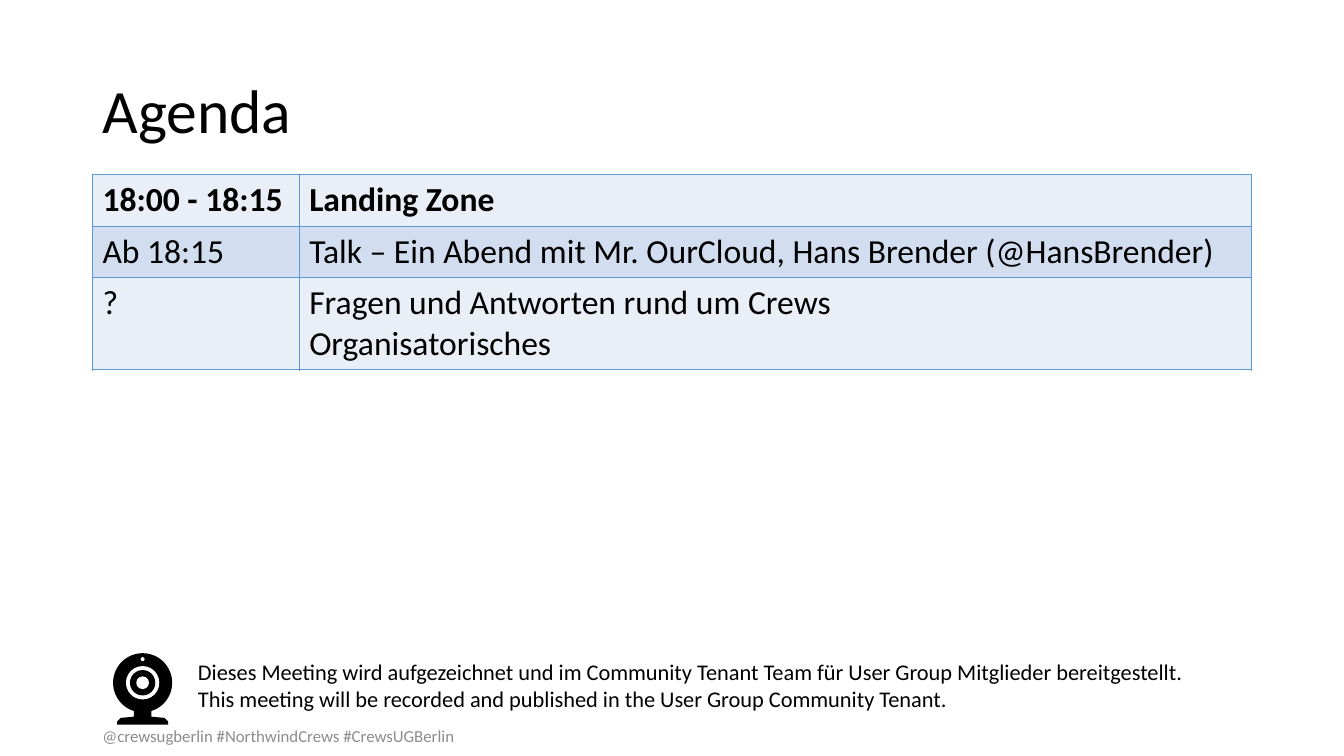
import pptx
import pptx.dml.color
import pptx.enum.shapes
import pptx.enum.text
import pptx.oxml
import pptx.oxml.ns
import pptx.util

Cm = pptx.util.Cm
Pt = pptx.util.Pt
KIND = pptx.enum.shapes.MSO_SHAPE
ANCHOR = pptx.enum.text.MSO_ANCHOR

BLACK, WHITE, GREY = "000000", "FFFFFF", "8C8C8C"
LIGHT, DARK, EDGE = "EAEFF7", "D2DEEF", "5B9BD5"

AGENDA = [
    ("18:00 - 18:15", "Landing Zone"),
    ("Ab 18:15", "Talk – Ein Abend mit Mr. OurCloud, Hans Brender (@HansBrender)"),
    ("?", "Fragen und Antworten rund um Crews\nOrganisatorisches"),
]
NOTICE = (
    "Dieses Meeting wird aufgezeichnet und im Community Tenant Team "
    "für User Group Mitglieder bereitgestellt.\n"
    "This meeting will be recorded and published in the User Group Community Tenant."
)
TAGS = "@crewsugberlin #NorthwindCrews #CrewsUGBerlin"


def color(code):
    return pptx.dml.color.RGBColor.from_string(code)


def write(frame, text, size=24, tint=BLACK, bold=False, space=1.0):
    para = frame.paragraphs[0]
    para.text = text
    para.alignment = pptx.enum.text.PP_ALIGN.LEFT
    para.line_spacing = space
    for run in para.runs:
        font = run.font
        font.name, font.size, font.bold = "Calibri", Pt(size), bold
        font.color.rgb = color(tint)


def paint(shape, tint):
    shape.shadow.inherit = False
    shape.fill.solid()
    shape.fill.fore_color.rgb = color(tint)
    shape.line.fill.background()


def place(shape, box):
    shape.left, shape.top, shape.width, shape.height = (Cm(v) for v in box)


def add_title(slide, box):
    title = slide.shapes.title
    place(title, box)
    frame = title.text_frame
    frame.word_wrap = True
    frame.auto_size = pptx.enum.text.MSO_AUTO_SIZE.NONE
    frame.vertical_anchor = ANCHOR.MIDDLE
    write(frame, "Agenda", size=44, space=0.9)


def add_text(slide, box, text, anchor=ANCHOR.TOP, **form):
    frame = slide.shapes.add_textbox(*(Cm(v) for v in box)).text_frame
    frame.word_wrap = True
    frame.vertical_anchor = anchor
    write(frame, text, **form)


def frame_cell(cell):
    props = cell._tc.get_or_add_tcPr()
    for side in ("lnL", "lnR", "lnT", "lnB"):
        props.append(pptx.oxml.parse_xml(
            f'<a:{side} {pptx.oxml.ns.nsdecls("a")} w="{Pt(1)}"><a:solidFill>'
            f'<a:srgbClr val="{EDGE}"/></a:solidFill></a:{side}>'))


def add_agenda(slide, box):
    left, top, width, height = box
    table = slide.shapes.add_table(
        len(AGENDA), 2, Cm(left), Cm(top), Cm(width), Cm(height)).table
    first = 5.21
    for col, span in zip(table.columns, (first, width - first)):
        col.width = Cm(span)
    line = 1.3
    for row, tall in zip(table.rows, (line, line, height - 2 * line)):
        row.height = Cm(tall)
    for r, texts in enumerate(AGENDA):
        for c, text in enumerate(texts):
            cell = table.cell(r, c)
            frame_cell(cell)
            cell.fill.solid()
            cell.fill.fore_color.rgb = color(DARK if r % 2 else LIGHT)
            write(cell.text_frame, text, bold=r == 0)


def add_webcam(slide, box):
    left, top, width, height = box
    mid, lens = left + width / 2, top + width / 2

    # Foot and neck
    half = [(0.22, 1.3), (0.22, 1.6), (0.55, 1.63), (0.64, 1.72), (0.64, height)]
    outline = [(mid + x, top + y) for x, y in half]
    outline += [(mid - x, top + y) for x, y in reversed(half)]
    points = [(Cm(x), Cm(y)) for x, y in outline]
    build = slide.shapes.build_freeform(*points[0])
    build.add_line_segments(points[1:], close=True)
    paint(build.convert_to_shape(), BLACK)

    # Head, lens rings and light: radius, centre height, colour
    for size, y, tint in (
        (width / 2, lens, BLACK),
        (0.42, lens, WHITE),
        (0.32, lens, BLACK),
        (0.16, lens, WHITE),
        (0.05, top + 0.15, WHITE),
    ):
        disc = slide.shapes.add_shape(
            KIND.OVAL, Cm(mid - size), Cm(y - size), Cm(2 * size), Cm(2 * size))
        paint(disc, tint)


def add_notice(slide, box):
    left, top, width, height = box
    add_webcam(slide, (left + 0.52, top, 1.49, 1.8))
    add_text(slide, (left + 2.41, top, width - 2.41, 1.63), NOTICE, size=16)
    add_text(slide, (left, top + 1.57, 11, height - 1.57), TAGS,
             anchor=ANCHOR.MIDDLE, size=12, tint=GREY)


def main():
    deck = pptx.Presentation()
    deck.slide_width, deck.slide_height = Cm(33.87), Cm(19.05)
    slide = deck.slides.add_slide(deck.slide_layouts[5])
    left, width = 2.33, 29.21
    add_title(slide, (left, 1.01, width, 3.68))
    add_agenda(slide, (left, 4.4, width, 4.92))
    add_notice(slide, (left, 16.46, width, 2.59))
    deck.save("out.pptx")


if __name__ == "__main__":
    main()
